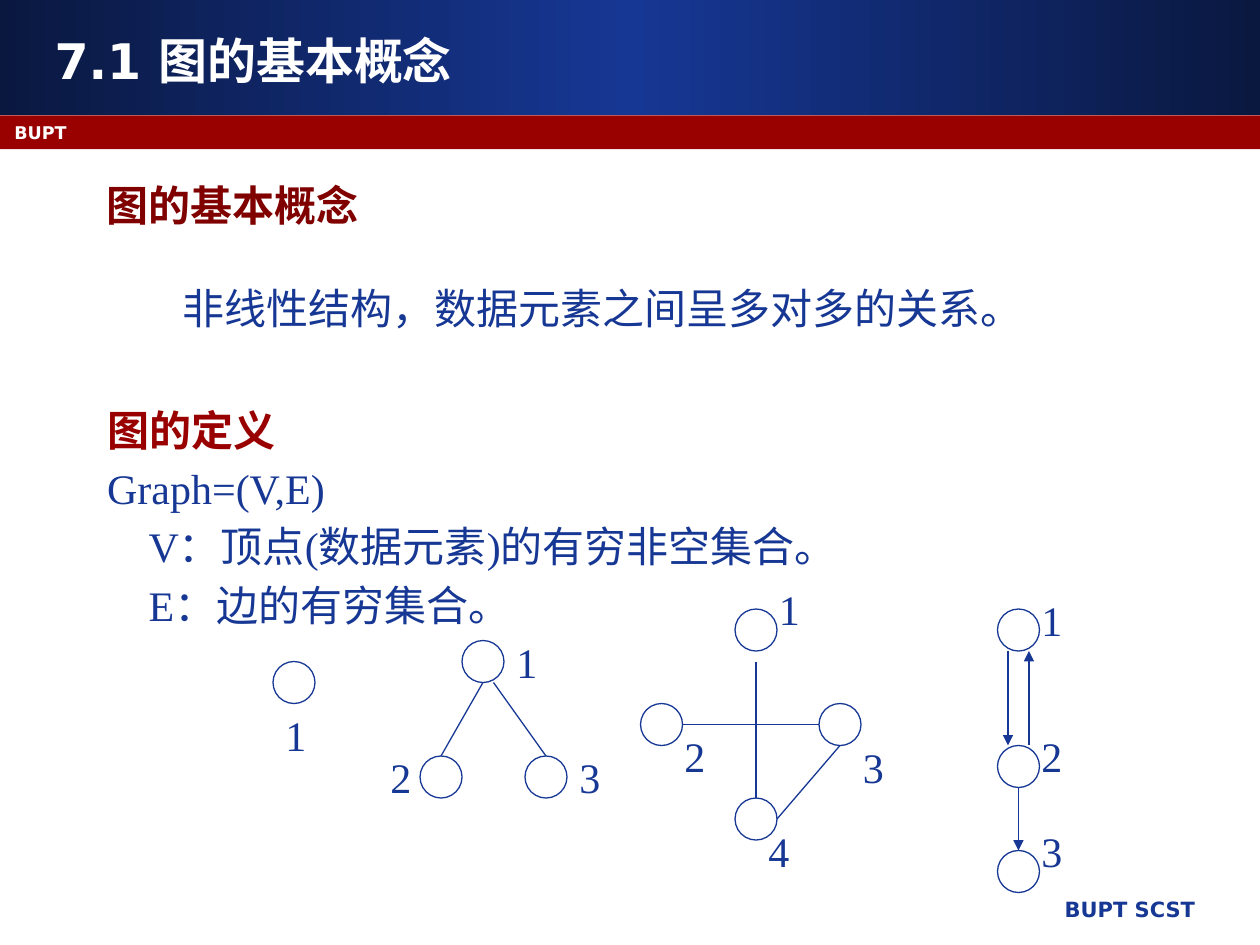
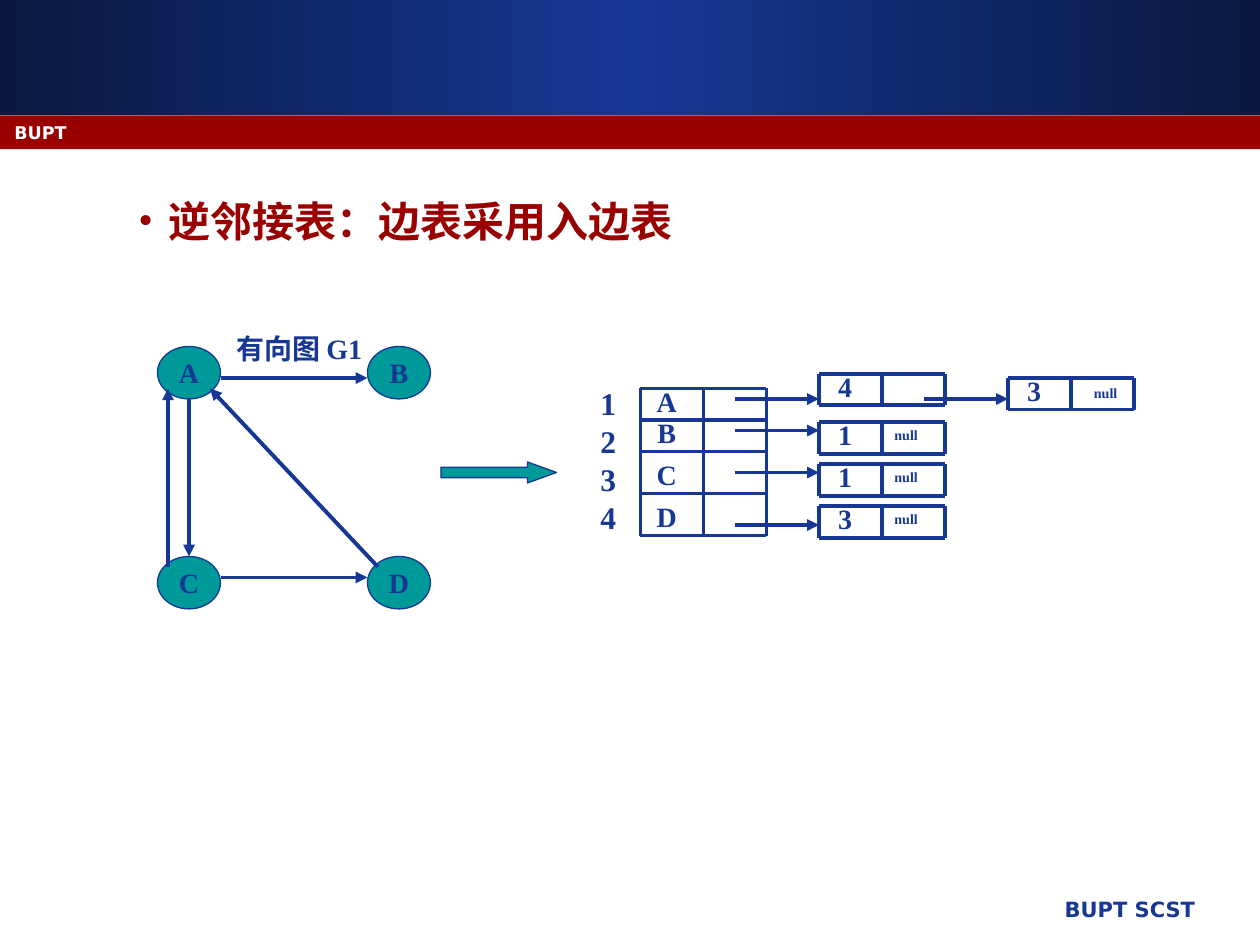
from copy import deepcopy

from lxml.etree import SubElement
from pptx import Presentation
from pptx.dml.color import RGBColor
from pptx.enum.shapes import MSO_CONNECTOR, MSO_SHAPE
from pptx.enum.text import MSO_ANCHOR, PP_ALIGN
from pptx.oxml.ns import qn
from pptx.util import Inches, Pt

COLORS = {
    "blue": "163794",
    "navy": "0A1840",
    "red": "990000",
    "maroon": "800000",
    "teal": "009999",
    "white": "FFFFFF",
}
SANS, SERIF = "DejaVu Sans", "Times New Roman"
COLUMNS, ROWS = 120, 90  # twelve grid steps to the inch
THIN, THICK = 0.75, 2.25


def grid(*steps):
    """Turn grid steps into lengths."""
    return [Inches(step / 12) for step in steps]


def rgb(name):
    return RGBColor.from_string(COLORS[name])


def write(para, text, size, color="blue", bold=False, font=SERIF, align=None):
    span = para.add_run()
    span.text = text
    span.font.size = Pt(size)
    span.font.name = font
    span.font.bold = bold
    span.font.color.rgb = rgb(color)
    para.alignment = align


def add_text(page, area, text, size, anchor=MSO_ANCHOR.TOP, **style):
    box = page.shapes.add_textbox(*grid(*area))
    frame = box.text_frame
    frame.word_wrap = True
    frame.vertical_anchor = anchor
    write(frame.paragraphs[0], text, size, **style)
    return box


def set_bullet(para, symbol=None, left=0, hanging=0):
    """Set the indents and give the paragraph a bullet, or none."""
    properties = para._p.get_or_add_pPr()
    properties.set("marL", str(Inches(left)))
    properties.set("indent", str(-Inches(hanging)))
    if symbol:
        SubElement(properties, qn("a:buFont")).set("typeface", SERIF)
        SubElement(properties, qn("a:buChar")).set("char", symbol)
    else:
        SubElement(properties, qn("a:buNone"))


def add_shape(page, kind, area, fill=None, line="blue"):
    shape = page.shapes.add_shape(kind, *grid(*area))
    shape.shadow.inherit = False
    if fill:
        shape.fill.solid()
        shape.fill.fore_color.rgb = rgb(fill)
    else:
        shape.fill.background()
    if line:
        shape.line.color.rgb = rgb(line)
        shape.line.width = Pt(THIN)
    else:
        shape.line.fill.background()
    return shape


def add_line(page, start, end, width=THIN, arrow=False):
    line = page.shapes.add_connector(MSO_CONNECTOR.STRAIGHT, *grid(*start, *end))
    line.line.color.rgb = rgb("blue")
    line.line.width = Pt(width)
    if arrow:
        SubElement(line.line._get_or_add_ln(), qn("a:tailEnd")).set("type", "triangle")
    SubElement(line.element.spPr, qn("a:effectLst"))


def add_vertex(page, left, top, label, label_left, label_top):
    """Draw an empty circle with its number beside it."""
    add_shape(page, MSO_SHAPE.OVAL, (left, top, 4, 4))
    add_text(page, (label_left, label_top, 6, 6), label, 24)


def add_named_vertex(page, left, top, name):
    vertex = add_shape(page, MSO_SHAPE.OVAL, (left, top, 6, 5), fill="teal")
    frame = vertex.text_frame
    frame.word_wrap = False
    frame.vertical_anchor = MSO_ANCHOR.MIDDLE
    write(frame.paragraphs[0], name, 16, bold=True, align=PP_ALIGN.CENTER)


def add_cells(page, left, row_edges):
    """Rule two columns of cells between the given row edges."""
    for y in row_edges:
        add_line(page, (left, y), (left + 12, y), THICK)
    for x in (left, left + 6, left + 12):
        add_line(page, (x, row_edges[0]), (x, row_edges[-1]), THICK)


def add_list_node(page, left, top, value, null_shift=None, null_rise=0.2):
    add_cells(page, left, (top, top + 3))
    add_text(page, (left, top - 1, 5, 4.4), value, 16, bold=True, align=PP_ALIGN.CENTER)
    if null_shift:
        add_text(page, (left + null_shift, top - null_rise, 9, 2.8), "null", 8, bold=True)


def add_master_parts(deck, page):
    """Draw the bands and footers and put them at the back of the slide master."""
    band = add_shape(page, MSO_SHAPE.RECTANGLE, (0, 0, COLUMNS, 10.95), line=None)
    band.fill.gradient()
    band.fill.gradient_angle = 0
    stop_list = band.element.xpath(".//a:gsLst")[0]
    stop_list.append(deepcopy(stop_list[0]))
    for index, color in enumerate(("navy", "blue", "navy")):
        stop = band.fill.gradient_stops[index]
        stop.color.rgb = rgb(color)
        stop.position = index / 2
    parts = [
        band,
        add_shape(page, MSO_SHAPE.RECTANGLE, (0, 11, COLUMNS, 3.2), "red", None),
        add_text(page, (50.5, 84.8, 64.5, 4.2), "BUPT SCST", 12, bold=True,
                 font=SANS, align=PP_ALIGN.RIGHT),
        add_text(page, (0.2, 11, 111, 3), "BUPT", 10, color="white", bold=True, font=SANS),
    ]
    for number, part in enumerate(parts):
        part.element.xpath(".//p:cNvPr")[0].set("id", str(20 + number))
        deck.slide_master.shapes.element.insert(2 + number, part.element)


def place(placeholder, area):
    placeholder.left, placeholder.top, placeholder.width, placeholder.height = grid(*area)
    return placeholder.text_frame


def build_concepts(page):
    title = place(page.shapes.title, (4, 2, 111, 7.5))
    title.vertical_anchor = MSO_ANCHOR.MIDDLE
    write(title.paragraphs[0], "7.1 图的基本概念", 28, "white", True, SANS, PP_ALIGN.LEFT)
    add_text(page, (9, 15, 102, 9), "图的基本概念", 24, MSO_ANCHOR.MIDDLE,
             color="maroon", bold=True)

    body = place(page.placeholders[1], (9, 25, 102, 60))
    body.margin_top = Inches(0.16)
    lines = [  # text, indent in inches, space before in points, colour, bold
        ("非线性结构，数据元素之间呈多对多的关系。", 0.6, 0, "blue", False),
        ("图的定义", 0, 40.6, "red", True),
        ("Graph=(V,E)", 0, 4.6, "blue", False),
        ("V：顶点(数据元素)的有穷非空集合。", 0.33, 4.6, "blue", False),
        ("E：边的有穷集合。", 0.33, 4.6, "blue", False),
    ]
    for index, (text, indent, space, color, bold) in enumerate(lines):
        para = body.add_paragraph() if index else body.paragraphs[0]
        set_bullet(para, left=indent)
        para.space_before = Pt(space)
        write(para, text, 24, color, bold)

    vertices = [  # circle left and top, label, label left and top
        (26, 63, "1", 26, 67),
        (44, 61, "1", 48, 60), (40, 72, "2", 36, 71), (50, 72, "3", 54, 71),
        (70, 58, "1", 73, 55), (61, 67, "2", 64, 69),
        (78, 67, "3", 81, 70), (70, 76, "4", 72, 78),
        (95, 58, "1", 98, 56), (95, 71, "2", 98, 69), (95, 81, "3", 98, 78),
    ]
    for vertex in vertices:
        add_vertex(page, *vertex)
    edges = [
        ((46, 65), (42, 72)), ((47, 65), (52, 72)),
        ((72, 63), (72, 76)), ((65, 69), (78, 69)), ((74, 78), (80, 71)),
    ]
    for start, end in edges:
        add_line(page, start, end)
    for start, end in [((96, 62), (96, 71)), ((97, 75), (97, 81)), ((98, 71), (98, 62))]:
        add_line(page, start, end, arrow=True)


def build_inverse_list(page):
    heading = add_text(page, (12, 18, 64, 6), "逆邻接表：边表采用入边表", 24,
                       color="red", bold=True)
    set_bullet(heading.text_frame.paragraphs[0], "•", 0.24, 0.24)

    for index, name in enumerate("ABCD"):
        row, column = divmod(index, 2)
        add_named_vertex(page, 15 + 20 * column, 33 + 20 * row, name)
    add_text(page, (20, 31, 17, 4.4), "有向图 G1", 16, bold=True, align=PP_ALIGN.CENTER)
    graph_arrows = [
        ((21, 36), (35, 36)), ((21, 55), (35, 55)), ((18, 38), (18, 53)),
        ((36, 54), (20, 37)), ((16, 54), (16, 37)),
    ]

    arrow = add_shape(page, MSO_SHAPE.RIGHT_ARROW, (42, 44, 11, 2), fill="teal")
    arrow.adjustments[0] = 0.5
    arrow.adjustments[1] = 1.375

    add_text(page, (56, 36, 3, 15.6), "1234", 18, bold=True, align=PP_ALIGN.CENTER)
    add_cells(page, 61, (37, 40, 43, 47, 51))
    for name, top in zip("ABCD", (36, 39, 43, 47)):
        add_text(page, (60, top, 7, 4.4), name, 16, bold=True, align=PP_ALIGN.CENTER)

    add_list_node(page, 78, 35.6, "4")
    add_list_node(page, 96, 36, "3", null_shift=7, null_rise=0)
    for index, value in enumerate("113"):
        add_list_node(page, 78, 40.2 + 4 * index, value, null_shift=6)
    list_arrows = [((70, y), (78, y)) for y in (38, 41, 45, 50)]
    list_arrows.append(((88, 38), (96, 38)))
    for start, end in graph_arrows + list_arrows:
        add_line(page, start, end, THICK, arrow=True)


def main():
    deck = Presentation()
    deck.slide_width, deck.slide_height = grid(COLUMNS, ROWS)
    concepts = deck.slides.add_slide(deck.slide_layouts[1])
    add_master_parts(deck, concepts)
    build_concepts(concepts)
    build_inverse_list(deck.slides.add_slide(deck.slide_layouts[6]))
    deck.save("out.pptx")


if __name__ == "__main__":
    main()
